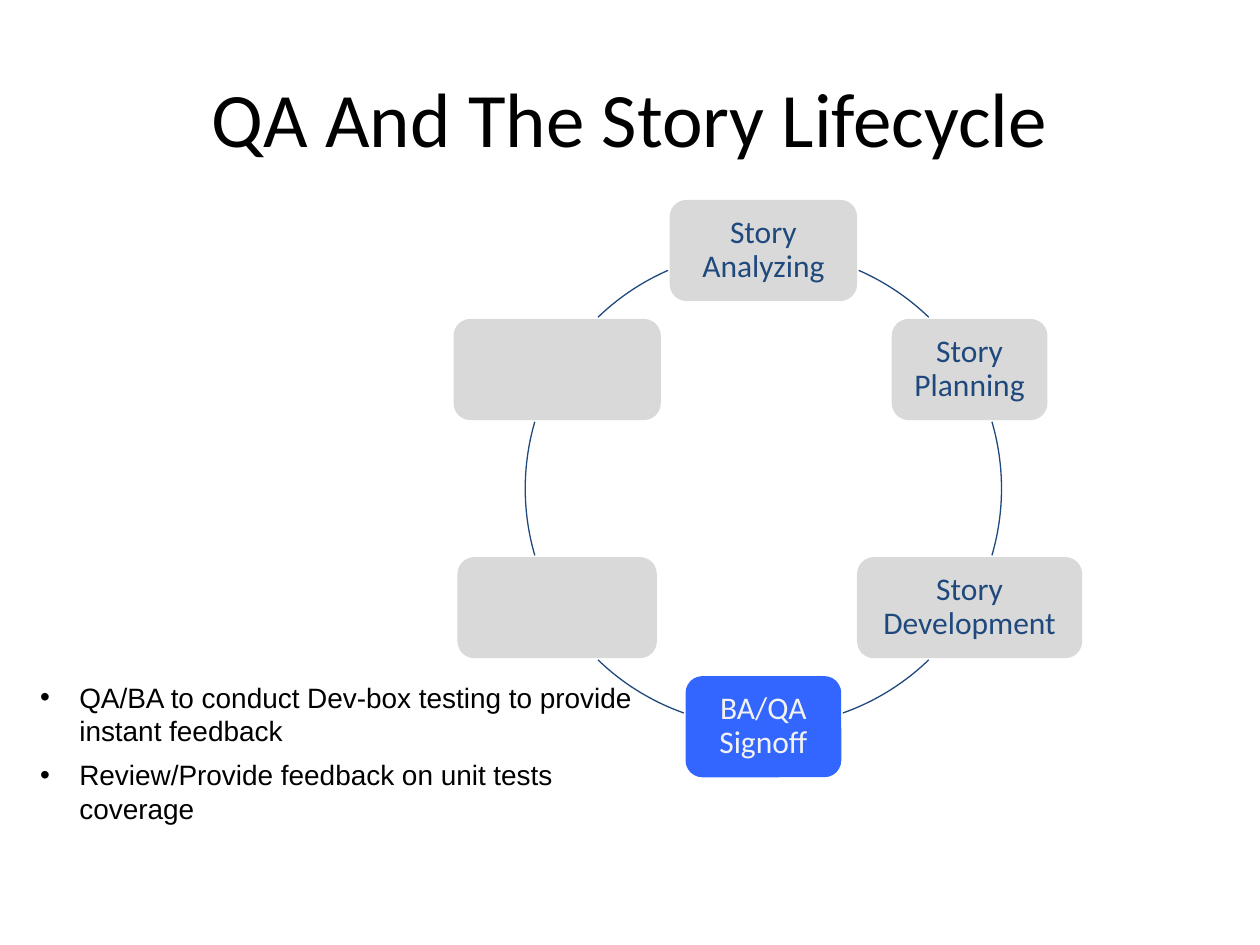
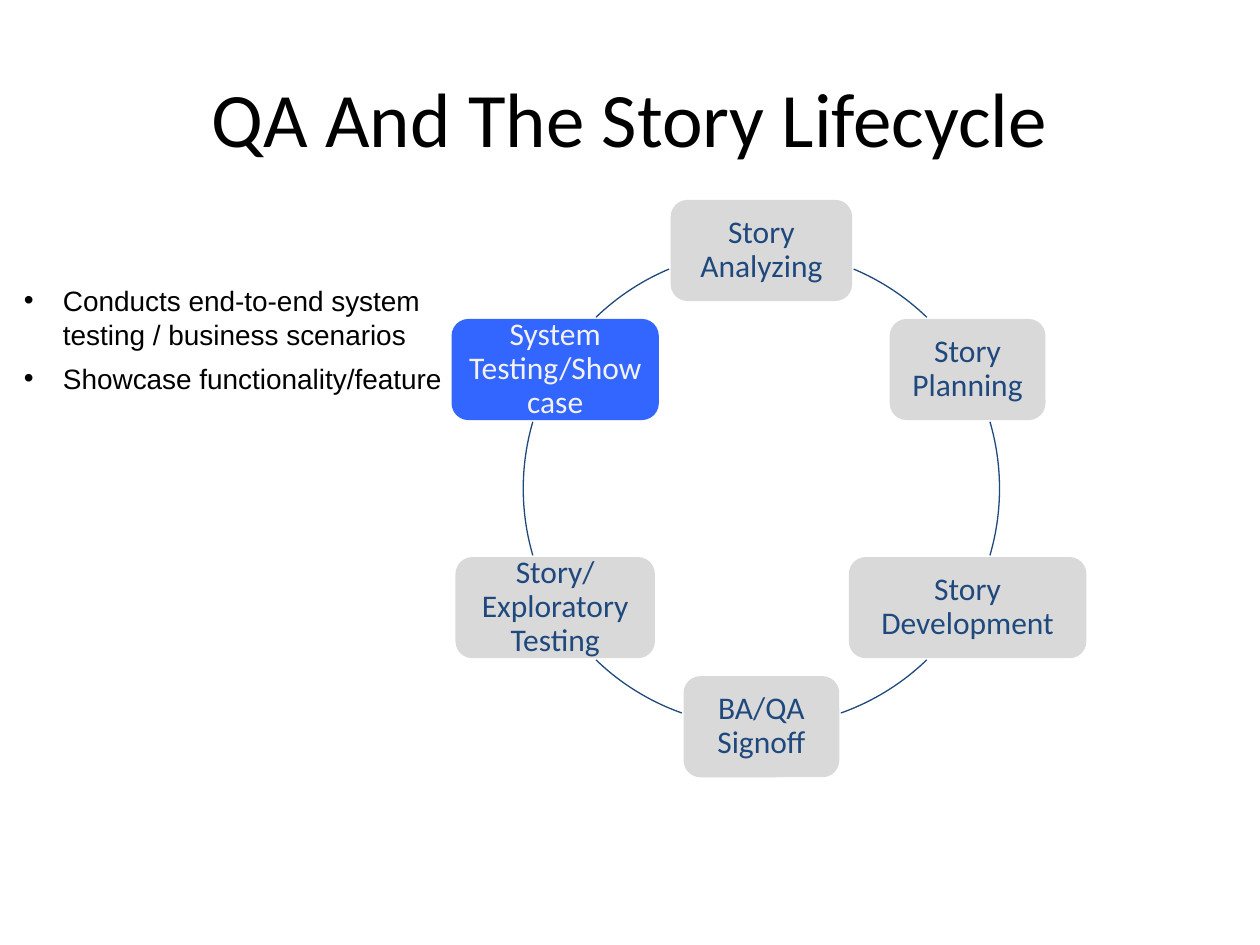
import math
from dataclasses import dataclass

import lxml.etree
import pptx
import pptx.dml.color
import pptx.enum.shapes
import pptx.enum.text
import pptx.oxml.ns
import pptx.shapes.autoshape
import pptx.slide
import pptx.text.text
import pptx.util

Cm = pptx.util.Cm
Pt = pptx.util.Pt
RGBColor = pptx.dml.color.RGBColor
ShapeKind = pptx.enum.shapes.MSO_SHAPE
Anchor = pptx.enum.text.MSO_ANCHOR
Align = pptx.enum.text.PP_ALIGN

BLACK = RGBColor(0x00, 0x00, 0x00)
NAVY = RGBColor(0x1F, 0x49, 0x7D)
GREY = RGBColor(0xD9, 0xD9, 0xD9)
BLUE = RGBColor(0x33, 0x66, 0xFF)
PALE = RGBColor(0xF2, 0xF2, 0xF2)

TITLE = "QA And The Story Lifecycle"
# Lengths below are in centimetres.
RING_MIDDLE = 9.85
RING_RADIUS = 4.8
STAGE_HEIGHT = 2.04
STAGE_INSET = 0.18
ARC_GAP = 0.03
BULLET_INDENT = 0.79


@dataclass(frozen=True)
class Stage:
    label: str
    width: float
    current: bool = False


@dataclass(frozen=True)
class Notes:
    left: float
    top: float
    width: float
    height: float
    lines: tuple[str, ...]


@dataclass(frozen=True)
class Lifecycle:
    """One slide: its stages run clockwise from the top of the ring."""
    center: float
    stages: tuple[Stage, ...]
    notes: Notes


LIFECYCLES = (
    Lifecycle(
        15.39,
        (
            Stage("Story Analyzing", 3.78),
            Stage("Story Planning", 3.14),
            Stage("Story Development", 4.54),
            Stage("BA/QA Signoff", 3.14, current=True),
            Stage("", 4.02),
            Stage("", 4.18),
        ),
        Notes(0.56, 13.59, 12.5, 4.11, (
            "QA/BA to conduct Dev-box testing to provide instant feedback",
            "Review/Provide feedback on unit tests coverage",
        )),
    ),
    Lifecycle(
        15.35,
        (
            Stage("Story Analyzing", 3.66),
            Stage("Story Planning", 3.14),
            Stage("Story Development", 4.79),
            Stage("BA/QA Signoff", 3.14),
            Stage("Story/Exploratory Testing", 4.02),
            Stage("System Testing/Showcase", 4.18, current=True),
        ),
        Notes(0.23, 5.59, 9.58, 3.43, (
            "Conducts end-to-end system testing / business scenarios",
            "Showcase functionality/feature",
        )),
    ),
)


def style_font(para: pptx.text.text._Paragraph, name: str, size: int, color: RGBColor) -> None:
    para.font.name = name
    para.font.size = Pt(size)
    para.font.color.rgb = color


def ring_point(angle: float) -> tuple[float, float]:
    """Offset from the ring's centre; angles run clockwise from the right."""
    return (RING_RADIUS * math.cos(math.radians(angle)),
            RING_RADIUS * math.sin(math.radians(angle)))


def leave_stage(stage: Stage, angle: float, step: float) -> float:
    """Follow the ring from a stage's middle until it is clear of its box."""
    middle_x, middle_y = ring_point(angle)
    while True:
        x, y = ring_point(angle)
        if (abs(x - middle_x) > stage.width / 2 + ARC_GAP
                or abs(y - middle_y) > STAGE_HEIGHT / 2 + ARC_GAP):
            return angle
        angle += step


def add_title(page: pptx.slide.Slide) -> None:
    title = page.shapes.title
    title.left, title.top = Cm(1.27), Cm(0.76)
    title.width, title.height = Cm(22.86), Cm(3.18)
    title.text_frame.text = TITLE
    title.text_frame.vertical_anchor = Anchor.MIDDLE
    para = title.text_frame.paragraphs[0]
    para.alignment = Align.CENTER
    style_font(para, "Calibri", 44, BLACK)


def add_stage(page: pptx.slide.Slide, stage: Stage, center: float, angle: float) -> None:
    x, y = ring_point(angle)
    box = page.shapes.add_shape(
        ShapeKind.ROUNDED_RECTANGLE,
        Cm(center + x - stage.width / 2), Cm(RING_MIDDLE + y - STAGE_HEIGHT / 2),
        Cm(stage.width), Cm(STAGE_HEIGHT))
    box.shadow.inherit = False
    box.fill.solid()
    box.fill.fore_color.rgb = BLUE if stage.current else GREY
    box.line.fill.background()
    if not stage.label:
        return
    frame = box.text_frame
    frame.word_wrap = True
    frame.vertical_anchor = Anchor.MIDDLE
    frame.margin_left = frame.margin_right = Cm(STAGE_INSET)
    frame.margin_top = frame.margin_bottom = Cm(STAGE_INSET)
    para = frame.paragraphs[0]
    para.text = stage.label
    para.alignment = Align.CENTER
    para.line_spacing = 0.9
    style_font(para, "Calibri", 18, PALE if stage.current else NAVY)


def add_arc(page: pptx.slide.Slide, center: float, start: float, end: float) -> None:
    arc = page.shapes.add_shape(
        ShapeKind.ARC, Cm(center - RING_RADIUS), Cm(RING_MIDDLE - RING_RADIUS),
        Cm(2 * RING_RADIUS), Cm(2 * RING_RADIUS))
    for index, angle in enumerate((start, end)):
        # Arc angles are 60000ths of a degree, adjustments 100000ths.
        arc.adjustments[index] = angle % 360 * 0.6
    arc.shadow.inherit = False
    arc.fill.background()
    arc.line.color.rgb = NAVY
    arc.line.width = Pt(0.75)


def add_ring(page: pptx.slide.Slide, cycle: Lifecycle) -> None:
    turn = 360 / len(cycle.stages)
    for index, stage in enumerate(cycle.stages):
        angle = index * turn - 90
        following = cycle.stages[(index + 1) % len(cycle.stages)]
        add_stage(page, stage, cycle.center, angle)
        add_arc(page, cycle.center, leave_stage(stage, angle, 0.1),
                leave_stage(following, angle + turn, -0.1))


def add_bullet(para: pptx.text.text._Paragraph) -> None:
    properties = para._p.get_or_add_pPr()
    properties.set("marL", str(Cm(BULLET_INDENT)))
    properties.set("indent", str(-Cm(BULLET_INDENT)))
    font = lxml.etree.SubElement(properties, pptx.oxml.ns.qn("a:buFont"))
    font.set("typeface", "Arial")
    bullet = lxml.etree.SubElement(properties, pptx.oxml.ns.qn("a:buChar"))
    bullet.set("char", "•")


def add_notes(page: pptx.slide.Slide, notes: Notes) -> None:
    box = page.shapes.add_textbox(
        Cm(notes.left), Cm(notes.top), Cm(notes.width), Cm(notes.height))
    frame = box.text_frame
    frame.word_wrap = True
    frame.text = "\n".join(notes.lines)
    for para in frame.paragraphs:
        para.space_after = Pt(6)
        add_bullet(para)
        style_font(para, "Arial", 16, BLACK)


def main() -> None:
    deck = pptx.Presentation()
    deck.slide_width, deck.slide_height = Cm(25.4), Cm(19.05)
    for cycle in LIFECYCLES:
        page = deck.slides.add_slide(deck.slide_layouts[5])
        add_title(page)
        add_ring(page, cycle)
        add_notes(page, cycle.notes)
    deck.save("out.pptx")


if __name__ == "__main__":
    main()
